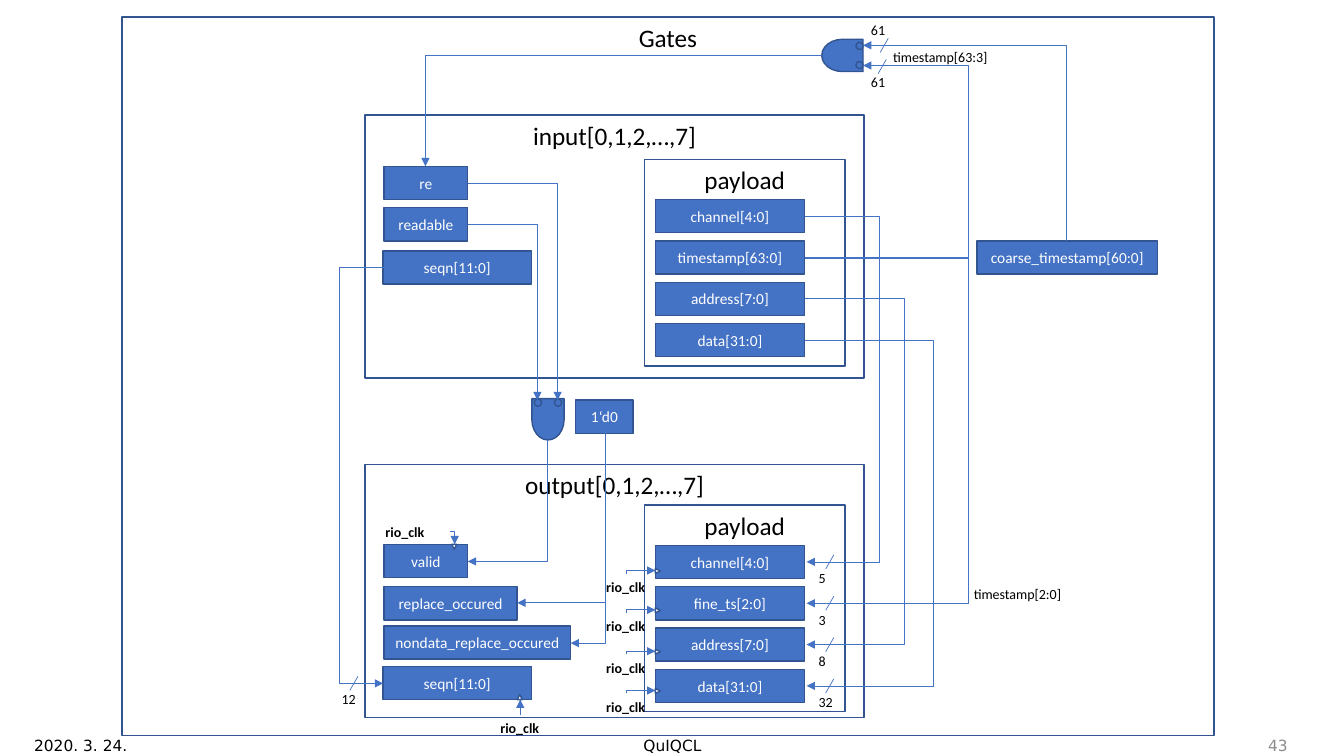
from pptx import Presentation
from pptx import util as u
from pptx.dml.color import RGBColor
from pptx.enum import shapes, text
from pptx.oxml import parse_xml
from pptx.oxml.ns import nsdecls, qn

BLUE, EDGE, WHITE, BLACK, GREY = "4472C4", "325491", "FFFFFF", "000000", "8C8C8C"
BODY, FOOT = "Calibri", "DejaVu Sans"
BOX_H, PITCH = 0.33, 0.41
PAYLOAD_X, PAYLOAD_W = 6.5, 1.48
PAYLOAD_RIGHT = PAYLOAD_X + PAYLOAD_W
INPUT_TOP, OUTPUT_TOP = 1.98, 5.41

# name, left, top, width, height
FRAMES = [
    ("Gates", 1.21, 0.17, 10.83, 7.13),
    ("input[0,1,2,…,7]", 3.62, 1.14, 4.95, 2.61),
    ("payload", 6.39, 1.58, 1.99, 2.05),
    ("output[0,1,2,…,7]", 3.62, 4.61, 4.95, 2.51),
    ("payload", 6.39, 5.01, 1.99, 2.05),
]
# name, left, top, width
REGISTERS = [
    ("re", 3.81, 1.65, 0.83),
    ("readable", 3.81, 2.06, 0.83),
    ("seqn[11:0]", 3.8, 2.49, 1.47),
    ("valid", 3.81, 5.4, 0.83),
    ("replace_occured", 3.81, 5.82, 1.32),
    ("nondata_replace_occured", 3.81, 6.21, 1.85),
    ("seqn[11:0]", 3.8, 6.61, 1.47),
    ("coarse_timestamp[60:0]", 9.69, 2.39, 1.79),
    ("1‘d0", 5.71, 3.97, 0.57),
]
# input field, output field, bus width, x of the vertical run, y of the clock arrow
PAYLOAD = [
    ("channel[4:0]", "channel[4:0]", "5", 8.72, 5.66),
    ("timestamp[63:0]", "fine_ts[2:0]", "3", 9.6, 6.05),
    ("address[7:0]", "address[7:0]", "8", 8.97, 6.46),
    ("data[31:0]", "data[31:0]", "32", 9.25, 6.85),
]
# start, end, x of the vertical run
SIDE_WIRES = [
    ((3.81, 2.65), (3.8, 6.78), 3.36),
    ((PAYLOAD_RIGHT, 2.56), (8.56, 0.65), 9.6),
]
# start, end, direction of the first leg
CORNER_WIRES = [
    ((4.64, 2.23), (5.33, 3.97), "h"),
    ((4.64, 1.82), (5.53, 3.97), "h"),
    ((10.58, 2.39), (8.56, 0.45), "v"),
    ((8.15, 0.55), (4.22, 1.65), "h"),
    ((5.43, 4.37), (4.64, 5.57), "v"),
    ((6, 4.3), (5.13, 5.98), "v"),
    ((6, 4.3), (5.66, 6.38), "v"),
    ((4.46, 5.27), (4.51, 5.4), "h"),
]
# left, top, rotation, left and top of each input circle
AND_GATES = [
    (8.15, 0.39, 180, [(8.49, 0.42), (8.49, 0.61)]),
    (5.23, 4.0, 90, [(5.3, 3.96), (5.5, 3.96)]),
]
BUS_SLASHES = [(8.75, 0.66), (8.77, 0.45), (3.51, 6.78)]
# text, left, top, width
NOTES = [
    ("61", 8.54, 0.68, 0.35),
    ("61", 8.54, 0.16, 0.35),
    ("timestamp[63:3]", 8.76, 0.43, 1.16),
    ("timestamp[2:0]", 9.56, 5.76, 1.09),
    ("12", 3.29, 6.8, 0.35),
]
FOOTER = [
    ("2020. 3. 24.", 0.24, 3, text.PP_ALIGN.LEFT, BLACK),
    ("QuIQCL", 4.42, 4.5, text.PP_ALIGN.CENTER, BLACK),
    ("43", 9.87, 3, text.PP_ALIGN.RIGHT, GREY),
]

prs = Presentation()
prs.slide_width, prs.slide_height = u.Inches(13.33), u.Inches(7.5)
slide = prs.slides.add_slide(prs.slide_layouts[6])


def rgb(hex_colour):
    return RGBColor.from_string(hex_colour)


def write(sp, words, size, colour, align, anchor, font=BODY, bold=False, wrap=True):
    tf = sp.text_frame
    tf.word_wrap, tf.vertical_anchor = wrap, anchor
    p = tf.paragraphs[0]
    p.alignment = align
    r = p.add_run()
    r.text = words
    r.font.name, r.font.size, r.font.bold = font, u.Pt(size), bold
    r.font.color.rgb = rgb(colour)


def shape(kind, left, top, width, height, fill=None, turn=0):
    sp = slide.shapes.add_shape(kind, *map(u.Inches, (left, top, width, height)))
    sp.shadow.inherit = False
    sp.rotation = turn
    if fill:
        sp.fill.solid()
        sp.fill.fore_color.rgb = rgb(fill)
    else:
        sp.fill.background()
    sp.line.color.rgb, sp.line.width = rgb(EDGE), u.Pt(1)
    return sp


def register(name, left, top, width):
    sp = shape(shapes.MSO_SHAPE.RECTANGLE, left, top, width, BOX_H, BLUE)
    sp.text_frame.margin_left = sp.text_frame.margin_right = u.Inches(0.05)
    write(sp, name, 11, WHITE, text.PP_ALIGN.CENTER, text.MSO_ANCHOR.MIDDLE)


def label(words, left, top, width, height=0.27, size=10, colour=BLACK,
          align=text.PP_ALIGN.LEFT, anchor=text.MSO_ANCHOR.TOP, **style):
    box = slide.shapes.add_textbox(*map(u.Inches, (left, top, width, height)))
    write(box, words, size, colour, align, anchor, **style)


def wire(start, end, kind=shapes.MSO_CONNECTOR.STRAIGHT, arrow=True):
    c = slide.shapes.add_connector(kind, *map(u.Inches, (*start, *end)))
    c.line.color.rgb, c.line.width = rgb(BLUE), u.Pt(0.5)
    if arrow:
        c.line._get_or_add_ln().append(
            parse_xml(f'<a:tailEnd {nsdecls("a")} type="triangle"/>'))
    c._element.spPr.append(parse_xml(f'<a:effectLst {nsdecls("a")}/>'))
    return c


def side_wire(start, end, via_x):
    """Runs across to via_x, then up or down, then back across to the end."""
    c = wire(start, end, shapes.MSO_CONNECTOR.ELBOW)
    share = round((via_x - start[0]) / (end[0] - start[0]) * 100000)
    guides = c._element.spPr.find(qn("a:prstGeom")).get_or_add_avLst()
    guides.append(parse_xml(f'<a:gd {nsdecls("a")} name="adj1" fmla="val {share}"/>'))


def corner_wire(start, end, first):
    """Turns once; a vertical first leg is a horizontal one turned a quarter."""
    (x1, y1), (x2, y2) = start, end
    dx, dy = x2 - x1, y2 - y1
    if first == "v":
        cx, cy, half_w, half_h = (x1 + x2) / 2, (y1 + y2) / 2, abs(dy) / 2, abs(dx) / 2
        if (dx > 0) == (dy > 0):
            half_h = -half_h
        start, end = (cx - half_w, cy - half_h), (cx + half_w, cy + half_h)
    c = wire(start, end, shapes.MSO_CONNECTOR.ELBOW)
    spPr = c._element.spPr
    spPr.find(qn("a:prstGeom")).set("prst", "bentConnector2")
    if first == "v":
        spPr.find(qn("a:xfrm")).set("rot", str((90 if dy > 0 else 270) * 60000))


def slash(x, y):
    wire((x + 0.04, y - 0.07), (x - 0.04, y + 0.07), arrow=False)


def clock_label(left, top):
    label("rio_clk", left, top, 0.89, align=text.PP_ALIGN.CENTER, bold=True)


def clock_mark(left, top, turn):
    shape(shapes.MSO_SHAPE.ISOSCELES_TRIANGLE, left, top, 0.05, 0.05, WHITE, turn)


for name, *place in FRAMES:
    write(shape(shapes.MSO_SHAPE.RECTANGLE, *place), name, 18, BLACK,
          text.PP_ALIGN.CENTER, text.MSO_ANCHOR.TOP)
for item in REGISTERS:
    register(*item)
for left, top, turn, circles in AND_GATES:
    shape(shapes.MSO_SHAPE.FLOWCHART_DELAY, left, top, 0.41, 0.32, BLUE, turn)
    for x, y in circles:
        shape(shapes.MSO_SHAPE.OVAL, x, y, 0.07, 0.07, BLUE, turn)
for item in SIDE_WIRES:
    side_wire(*item)
for item in CORNER_WIRES:
    corner_wire(*item)

for row, (source, target, bits, via_x, clock_y) in enumerate(PAYLOAD):
    in_top, out_top = INPUT_TOP + row * PITCH, OUTPUT_TOP + row * PITCH
    out_mid = out_top + BOX_H / 2
    register(source, PAYLOAD_X, in_top, PAYLOAD_W)
    register(target, PAYLOAD_X, out_top, PAYLOAD_W)
    side_wire((PAYLOAD_RIGHT, in_top + BOX_H / 2), (PAYLOAD_RIGHT + 0.02, out_mid), via_x)
    slash(8.23, out_mid)
    label(bits, 8.02, out_mid + 0.03, 0.35 if len(bits) > 1 else 0.27, wrap=False)
    clock_label(5.76, clock_y + 0.03)
    corner_wire((6.21, clock_y + 0.03), (PAYLOAD_X, clock_y), "v")
    clock_mark(PAYLOAD_X, clock_y - 0.02, 90)

clock_label(3.57, 5.14)
clock_mark(4.48, 5.4, 180)
clock_label(4.71, 7.09)
wire((5.16, 7.09), (5.16, 6.94))
clock_mark(5.13, 6.89, 0)

for x, y in BUS_SLASHES:
    slash(x, y)
for item in NOTES:
    label(*item, wrap=False)
for words, left, width, align, colour in FOOTER:
    label(words, left, 7.19, width, 0.4, 11, colour, align,
          text.MSO_ANCHOR.MIDDLE, font=FOOT)

prs.save("out.pptx")
